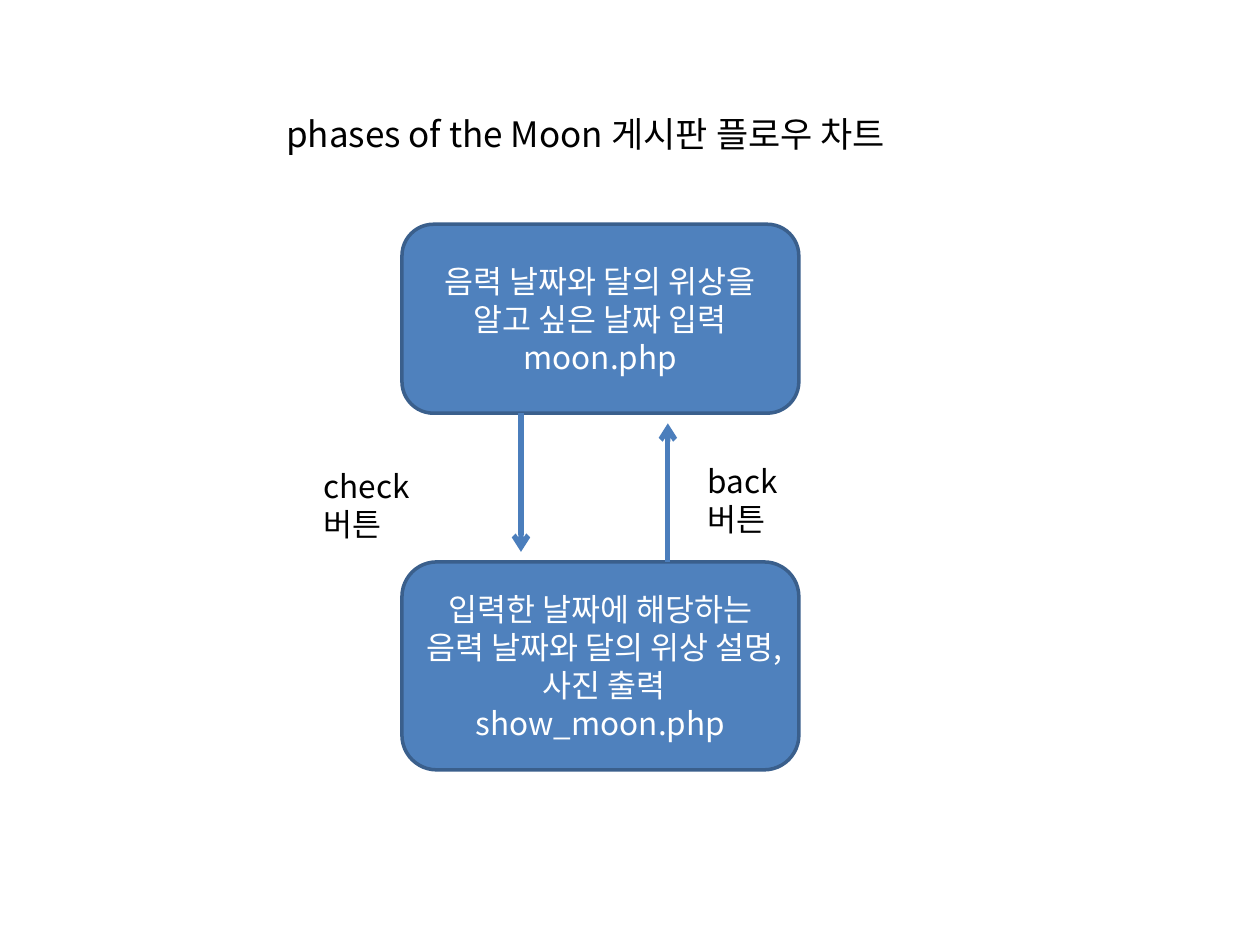
from dataclasses import dataclass
from lxml import etree
from pptx import Presentation
from pptx import util as u
from pptx.dml.color import RGBColor
from pptx.enum import shapes, text
from pptx.oxml import ns


@dataclass(frozen=True)
class Theme:
    font: str = "Noto Sans CJK KR"
    title_size: int = 20
    body_size: int = 18
    ink: str = "000000"
    on_fill: str = "FFFFFF"
    box_fill: str = "4F81BD"
    box_line: str = "3A5F8C"
    arrow: str = "4B7EBC"
    box_width: int = 2
    arrow_width: int = 3


THEME = Theme()
WIDTH, HEIGHT = 10, 7.5
BOX_LEFT, BOX_WIDTH = 3.19, 3.15
INPUT_TOP, INPUT_HEIGHT = 1.78, 1.5
RESULT_TOP, RESULT_HEIGHT = 4.46, 1.65
ARROW_LENGTH = 1.1
DOWN_SHARE, UP_SHARE = 0.3, 0.67


def color(value):
    return RGBColor.from_string(value)


def write(tf, lines, size, ink, align):
    for i, line in enumerate(lines):
        p = tf.paragraphs[0] if i == 0 else tf.add_paragraph()
        p.alignment = align
        r = p.add_run()
        r.text = line
        r.font.size = u.Pt(size)
        r.font.name = THEME.font
        r.font.color.rgb = color(ink)
        ea = etree.SubElement(r.font._element, ns.qn("a:ea"))
        ea.set("typeface", THEME.font)


def add_title(s, line, left, top, width, height):
    sp = s.shapes.title
    sp.left, sp.top, sp.width, sp.height = map(u.Inches, (left, top, width, height))
    tf = sp.text_frame
    tf.word_wrap = False
    tf.auto_size = text.MSO_AUTO_SIZE.NONE
    tf.vertical_anchor = text.MSO_ANCHOR.TOP
    write(tf, [line], THEME.title_size, THEME.ink, text.PP_ALIGN.LEFT)


def add_step(s, top, height, lines):
    sp = s.shapes.add_shape(
        shapes.MSO_SHAPE.ROUNDED_RECTANGLE,
        *map(u.Inches, (BOX_LEFT, top, BOX_WIDTH, height)))
    sp.shadow.inherit = False
    sp.fill.solid()
    sp.fill.fore_color.rgb = color(THEME.box_fill)
    sp.line.color.rgb = color(THEME.box_line)
    sp.line.width = u.Pt(THEME.box_width)
    tf = sp.text_frame
    tf.word_wrap = True
    tf.vertical_anchor = text.MSO_ANCHOR.MIDDLE
    write(tf, lines, THEME.body_size, THEME.on_fill, text.PP_ALIGN.CENTER)


def add_arrow(s, share, start, end):
    x = BOX_LEFT + share * BOX_WIDTH
    cxn = s.shapes.add_connector(
        shapes.MSO_CONNECTOR.STRAIGHT, *map(u.Inches, (x, start, x, end)))
    cxn.line.color.rgb = color(THEME.arrow)
    cxn.line.width = u.Pt(THEME.arrow_width)
    tail = etree.SubElement(cxn.line._get_or_add_ln(), ns.qn("a:tailEnd"))
    tail.set("type", "arrow")
    etree.SubElement(cxn._element.spPr, ns.qn("a:effectLst"))


def add_label(s, left, top, width, line):
    sp = s.shapes.add_textbox(*map(u.Inches, (left, top, width, 0.4)))
    tf = sp.text_frame
    tf.word_wrap = True
    tf.margin_right = u.Inches(0.4)
    write(tf, [line], THEME.body_size, THEME.ink, text.PP_ALIGN.LEFT)


def main():
    prs = Presentation()
    prs.slide_width, prs.slide_height = u.Inches(WIDTH), u.Inches(HEIGHT)
    s = prs.slides.add_slide(prs.slide_layouts.get_by_name("Title Only"))
    add_title(s, "phases of the Moon 게시판 플로우 차트", 2.17, 0.84, 5.32, 0.44)
    add_step(s, INPUT_TOP, INPUT_HEIGHT,
             ["음력 날짜와 달의 위상을 알고 싶은 날짜 입력", "moon.php"])
    add_step(s, RESULT_TOP, RESULT_HEIGHT,
             ["입력한 날짜에 해당하는 음력 날짜와 달의 위상 설명, 사진 출력",
              "show_moon.php"])
    input_bottom = INPUT_TOP + INPUT_HEIGHT
    add_arrow(s, DOWN_SHARE, input_bottom, input_bottom + ARROW_LENGTH)
    add_arrow(s, UP_SHARE, RESULT_TOP, RESULT_TOP - ARROW_LENGTH)
    add_label(s, 2.47, 3.66, 1.44, "check 버튼")
    add_label(s, 5.52, 3.62, 1.26, "back 버튼")
    prs.save("out.pptx")


if __name__ == "__main__":
    main()
